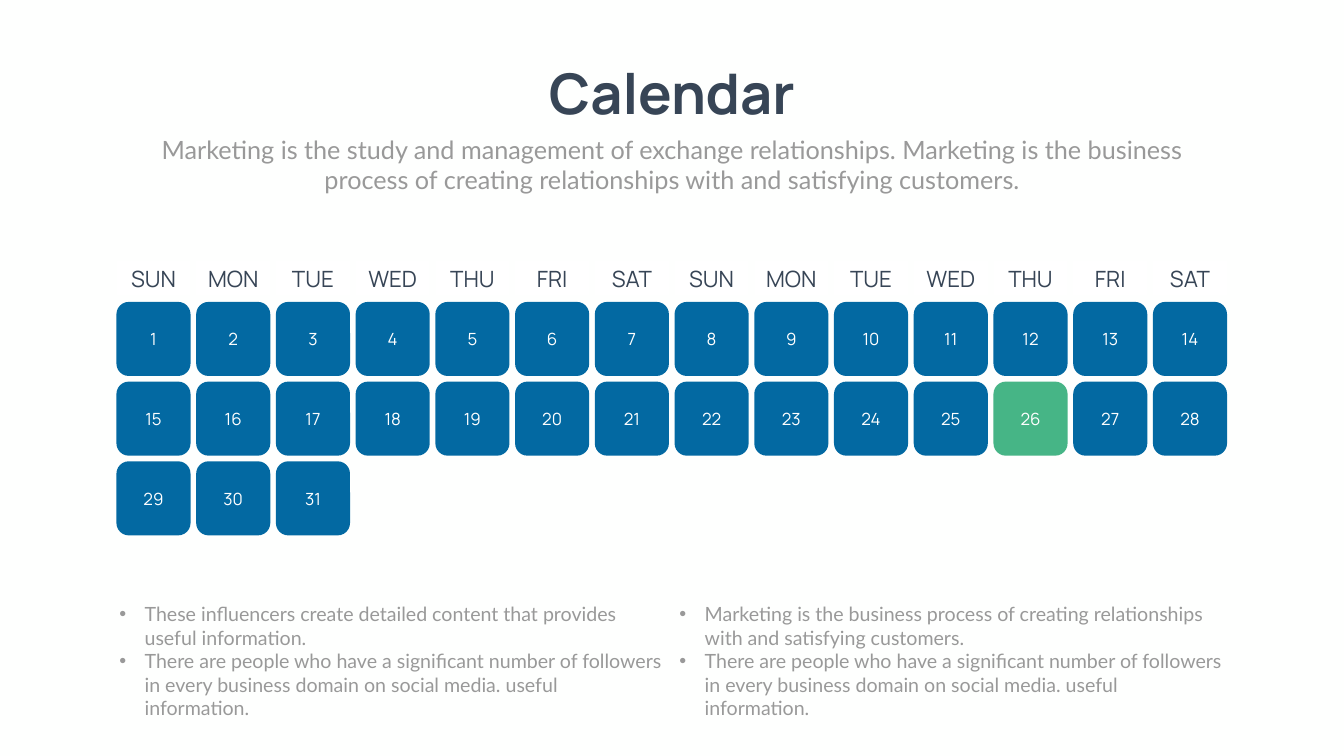
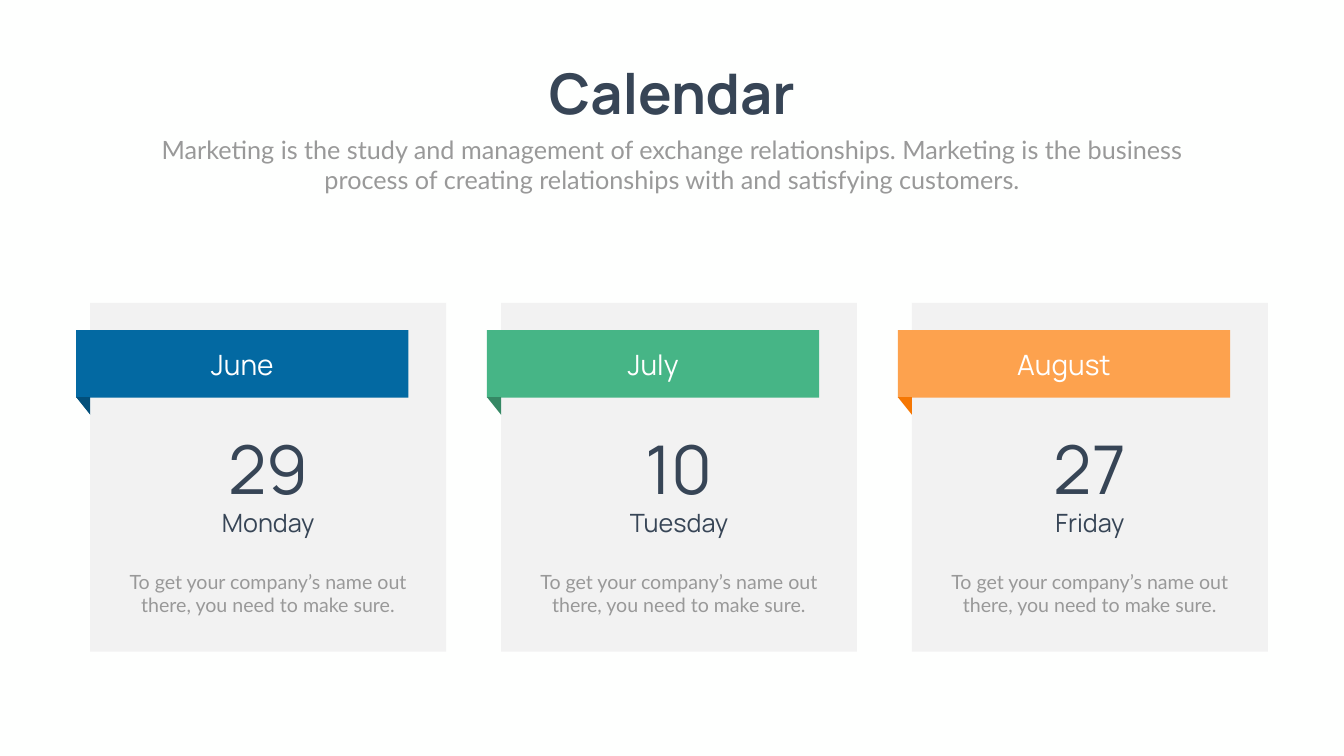
from dataclasses import dataclass

from lxml import etree
from pptx import Presentation
from pptx.dml.color import RGBColor
from pptx.enum.shapes import MSO_SHAPE
from pptx.enum.text import MSO_ANCHOR, MSO_AUTO_SIZE, PP_ALIGN
from pptx.oxml.ns import qn
from pptx.util import Inches, Pt

RECTANGLE = MSO_SHAPE.RECTANGLE
ROUNDED = MSO_SHAPE.ROUNDED_RECTANGLE
RIGHT_TRIANGLE = MSO_SHAPE.RIGHT_TRIANGLE
CENTER, LEFT = PP_ALIGN.CENTER, PP_ALIGN.LEFT
TOP, MIDDLE = MSO_ANCHOR.TOP, MSO_ANCHOR.MIDDLE
GROW = MSO_AUTO_SIZE.SHAPE_TO_FIT_TEXT
BLANK_LAYOUT = 6


@dataclass(frozen=True)
class Theme:
    background: str = "FEFFFE"
    white: str = "FFFFFF"
    ink: str = "374556"
    muted: str = "999999"
    panel: str = "F2F2F2"
    blue: str = "0369A2"
    dark_blue: str = "024F7A"
    green: str = "46B586"
    dark_green: str = "358864"
    orange: str = "FDA24E"
    dark_orange: str = "F57703"
    heading_font: str = "Manrope"
    body_font: str = "Lato"
    title_size: int = 80
    subtitle_size: int = 36
    body_size: int = 28
    weekday_size: int = 32
    day_size: int = 24
    month_size: int = 40
    date_size: int = 96


THEME = Theme()

TITLE = "Calendar"
SUBTITLE = (
    "Marketing is the study and management of exchange relationships. "
    "Marketing is the business process of creating relationships with "
    "and satisfying customers."
)

WEEKDAYS = ["SUN", "MON", "TUE", "WED", "THU", "FRI", "SAT"]
COLUMNS = 2 * len(WEEKDAYS)
GRID_LEFT, LAST_COLUMN_LEFT = 2.31, 22.87
GRID_STEP = (LAST_COLUMN_LEFT - GRID_LEFT) / (COLUMNS - 1)
WEEKDAY_TOP, WEEKDAY_HEIGHT = 5.18, 0.68
DAYS_TOP, DAY_SIDE = 5.99, 1.47
DAYS_IN_MONTH, MARKED_DAY = 31, 26

FOLLOWERS = (
    "There are people who have a significant number of followers in every "
    "business domain on social media. useful information."
)
NOTES = [
    (2.27, ["These influencers create detailed content that provides useful "
            "information.", FOLLOWERS]),
    (13.38, ["Marketing is the business process of creating relationships "
             "with and satisfying customers.", FOLLOWERS]),
]

CARD_LEFT, CARD_STEP = 1.79, 8.15
CARD_TEXT = "To get your company’s name out there, you need to make sure."
CARDS = [
    ("June", "29", "Monday", THEME.blue, THEME.dark_blue),
    ("July", "10", "Tuesday", THEME.green, THEME.dark_green),
    ("August", "27", "Friday", THEME.orange, THEME.dark_orange),
]


def apply(target, values):
    for name, value in values.items():
        setattr(target, name, value)


class Painter:
    """Draws themed elements on the current page; lengths are in inches."""

    def __init__(self, deck, theme):
        self.deck = deck
        self.theme = theme
        self.page = None

    def new_page(self):
        self.page = self.deck.slides.add_slide(self.deck.slide_layouts[BLANK_LAYOUT])
        fill = self.page.background.fill
        fill.solid()
        fill.fore_color.rgb = RGBColor.from_string(self.theme.background)
        self.text((10.53, 1.12, 5.6, 1.45), TITLE, self.theme.title_size,
                  self.theme.ink, self.theme.heading_font, bold=True, wrap=False)
        self.text((2.92, 2.61, 20.82, 1.31), SUBTITLE, self.theme.subtitle_size)

    def set_lines(self, frame, lines, size, color, font, align=CENTER, bold=False,
                  spacing=None, bulleted=False):
        """Fill a text frame with one paragraph per line."""
        while len(frame.paragraphs) < len(lines):
            frame.add_paragraph()
        for para, line in zip(frame.paragraphs, lines):
            if bulleted:
                self.bullet(para)
            apply(para, {"alignment": align, "line_spacing": spacing})
            span = para.add_run()
            span.text = line
            apply(span.font, {"name": font, "size": Pt(size), "bold": bold})
            span.font.color.rgb = RGBColor.from_string(color)

    def bullet(self, para):
        properties = para._p.get_or_add_pPr()
        properties.set("marL", str(Inches(0.5)))
        properties.set("indent", str(Inches(-0.5)))
        font = etree.SubElement(properties, qn("a:buFont"))
        font.set("typeface", "Arial")
        mark = etree.SubElement(properties, qn("a:buChar"))
        mark.set("char", "•")

    def text(self, area, content, size, color=None, font=None, wrap=True,
             anchor=TOP, flush=False, **style):
        """Add a text box; flush removes its inner margins."""
        box = self.page.shapes.add_textbox(*map(Inches, area))
        frame = box.text_frame
        apply(frame, {"word_wrap": wrap, "auto_size": GROW,
                      "vertical_anchor": anchor})
        if flush:
            apply(frame, {f"margin_{side}": 0
                          for side in ("left", "top", "right", "bottom")})
        lines = [content] if isinstance(content, str) else content
        self.set_lines(frame, lines, size, color or self.theme.muted,
                       font or self.theme.body_font, **style)

    def label(self, area, content, size):
        """Add a dark heading-font text box with tight lines and no margins."""
        self.text(area, content, size, self.theme.ink, self.theme.heading_font,
                  anchor=MIDDLE, flush=True, spacing=0.9)

    def shape(self, kind, area, fill, content=None, size=None, color=None):
        box = self.page.shapes.add_shape(kind, *map(Inches, area))
        box.shadow.inherit = False
        box.fill.solid()
        box.fill.fore_color.rgb = RGBColor.from_string(fill)
        box.line.fill.background()
        if content:
            apply(box.text_frame, {"word_wrap": True, "vertical_anchor": MIDDLE})
            self.set_lines(box.text_frame, [content], size,
                           color or self.theme.white, self.theme.heading_font)
        return box

    def card(self, left, month, date, weekday, color, fold_color):
        ribbon_left = left - 0.28
        self.shape(RECTANGLE, (left, 6.01, 7.06, 6.92), self.theme.panel)
        self.shape(RECTANGLE, (ribbon_left, 6.55, 6.59, 1.34), color, month,
                   self.theme.month_size)
        fold = self.shape(RIGHT_TRIANGLE, (ribbon_left, 7.88, 0.28, 0.35), fold_color)
        fold.rotation = 180
        self.label((left + 1.34, 8.64, 4.38, 1.49), date, self.theme.date_size)
        self.label((left + 0.18, 10.13, 6.7, 0.56), weekday,
                   self.theme.subtitle_size)
        self.text((left + 0.18, 11.25, 6.69, 1.04), CARD_TEXT, self.theme.body_size)


def draw_month(painter):
    theme = painter.theme
    painter.new_page()
    for column in range(COLUMNS):
        left = GRID_LEFT + column * GRID_STEP
        painter.shape(RECTANGLE, (left, WEEKDAY_TOP, DAY_SIDE, WEEKDAY_HEIGHT),
                      theme.white, WEEKDAYS[column % len(WEEKDAYS)],
                      theme.weekday_size, theme.ink)
    for day in range(1, DAYS_IN_MONTH + 1):
        row, column = divmod(day - 1, COLUMNS)
        area = (GRID_LEFT + column * GRID_STEP, DAYS_TOP + row * GRID_STEP,
                DAY_SIDE, DAY_SIDE)
        fill = theme.green if day == MARKED_DAY else theme.blue
        painter.shape(ROUNDED, area, fill, str(day), theme.day_size)
    for left, lines in NOTES:
        painter.text((left, 11.9, 11.01, 1.99), lines, theme.body_size,
                     align=LEFT, bulleted=True)


def draw_dates(painter):
    painter.new_page()
    for index, card in enumerate(CARDS):
        painter.card(CARD_LEFT + index * CARD_STEP, *card)


def main():
    deck = Presentation()
    apply(deck, {"slide_width": Inches(26.66), "slide_height": Inches(15)})
    painter = Painter(deck, THEME)
    draw_month(painter)
    draw_dates(painter)
    deck.save("out.pptx")


if __name__ == "__main__":
    main()
